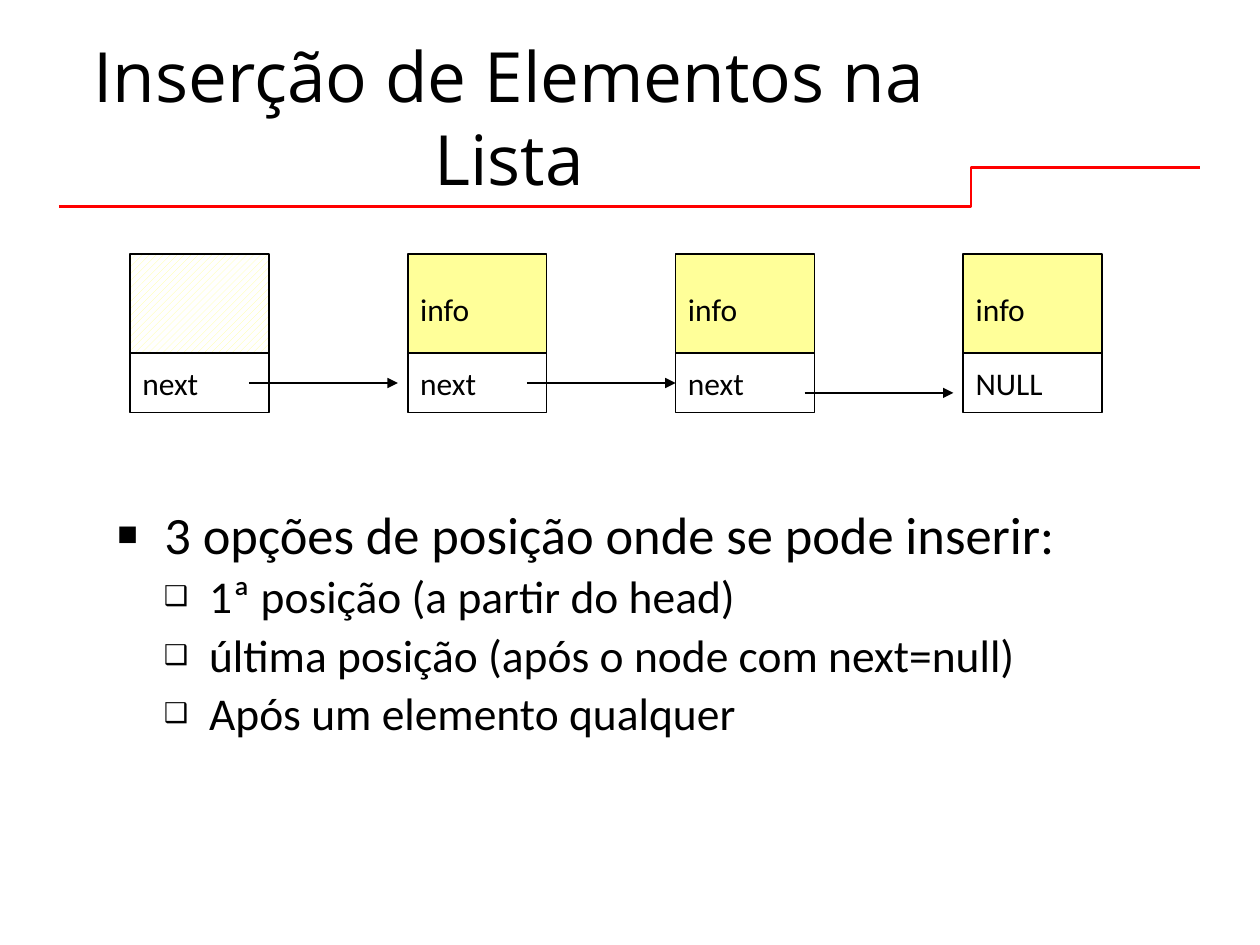
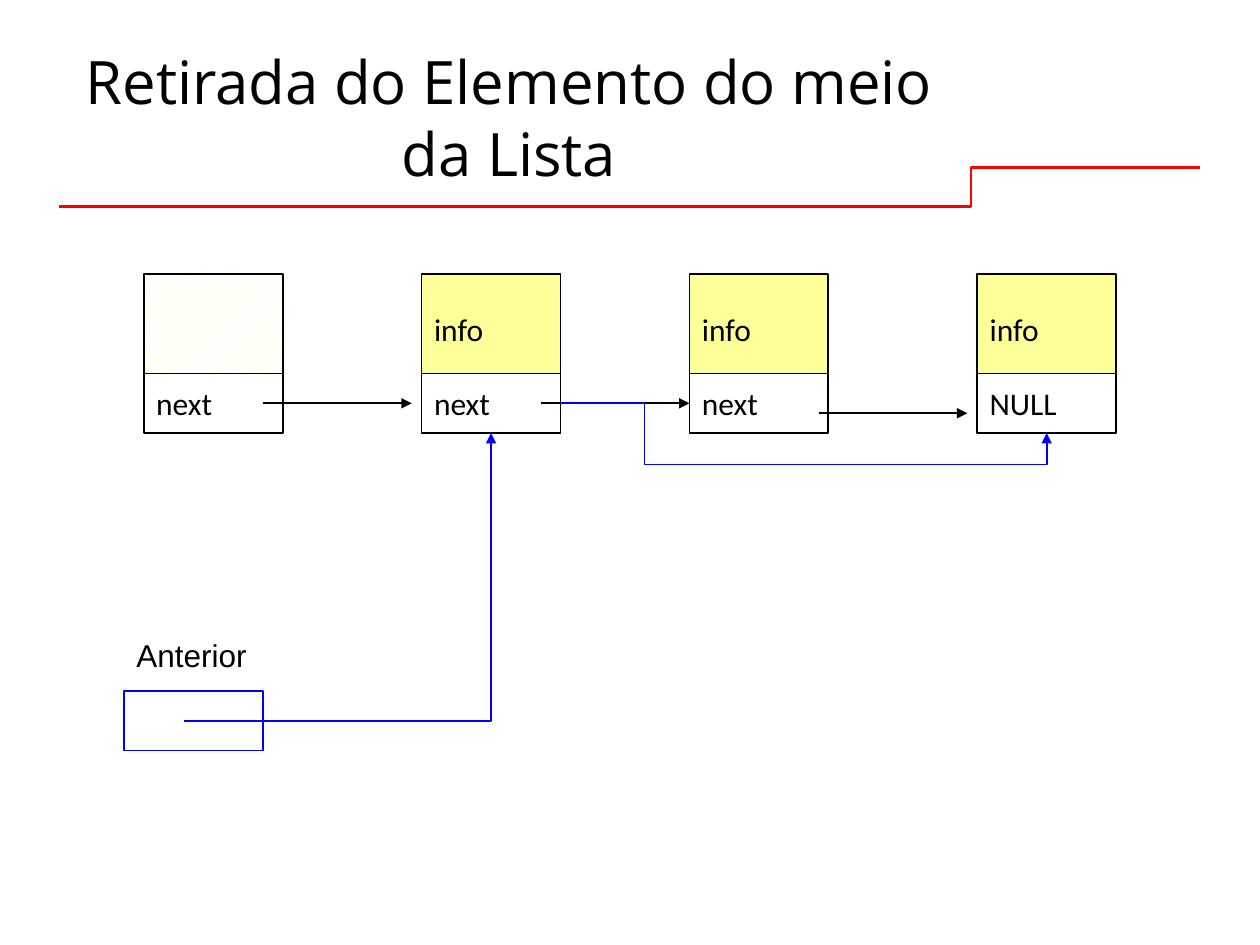
"""Build two slides on inserting into and removing from a linked list."""
from lxml import etree
from pptx import Presentation
from pptx.dml.color import RGBColor
from pptx.enum.dml import MSO_PATTERN
from pptx.enum.shapes import MSO_CONNECTOR, MSO_SHAPE
from pptx.enum.text import MSO_ANCHOR, MSO_AUTO_SIZE, PP_ALIGN
from pptx.oxml.ns import qn
from pptx.util import Cm, Pt

STRAIGHT, ELBOW = MSO_CONNECTOR.STRAIGHT, MSO_CONNECTOR.ELBOW
RECTANGLE = MSO_SHAPE.RECTANGLE
DIAGONAL = MSO_PATTERN.WIDE_UPWARD_DIAGONAL
LEFT, CENTER = PP_ALIGN.LEFT, PP_ALIGN.CENTER
TOP, MIDDLE = MSO_ANCHOR.TOP, MSO_ANCHOR.MIDDLE
NO_AUTOFIT = MSO_AUTO_SIZE.NONE
LEFT_SIDE, BOTTOM_SIDE, RIGHT_SIDE = 1, 2, 3

COLORS = {"text": "000000", "paper": "FFFFFF", "info": "FFFF99",
          "step": "FF0000", "pointer": "0000FF"}
FONTS = {"title": "Open Sans", "body": "Calibri", "label": "Arial"}

INSERTION = {"title": "Inserção de Elementos na Lista", "size": 39.6, "origin": (2.62, 5.12)}
REMOVAL = {"title": "Retirada do Elemento do meio da Lista", "size": 34.2, "origin": (2.9, 5.53)}
OPTIONS = [
    (0, "3 opções de posição onde se pode inserir:"),
    (1, "1ª posição (a partir do head)"),
    (1, "última posição (após o node com next=null)"),
    (1, "Após um elemento qualquer"),
]
LEVELS = [
    {"size": 30, "bullet": "■", "percent": 65, "margin": 0.95, "hanging": 0.95},
    {"size": 26, "bullet": "❑", "percent": 60, "margin": 1.85, "hanging": 0.91},
]
NODES = [(0, "", "next"), (5.6, "info", "next"), (11, "info", "next"), (16.8, "info", "NULL")]
NODE_WIDTH, INFO_HEIGHT, NEXT_TOP, NEXT_HEIGHT = 2.8, 2.2, 2.0, 1.2
ARROW_START, ARROW_STEP, ARROW_LENGTH = 2.4, 5.6, 3.0
ARROW_HEIGHTS = [2.6, 2.6, 2.8]


def rgb(name):
    return RGBColor.from_string(COLORS[name])


def place(shape, left, top, width, height):
    shape.left, shape.top, shape.width, shape.height = map(Cm, (left, top, width, height))


def style_text(para, font, size, align=LEFT):
    para.alignment = align
    for span in para.runs:
        span.font.name, span.font.size = FONTS[font], Pt(size)
        span.font.color.rgb = rgb("text")


def add_box(page, left, top, width, height, text="", fill="paper", line="text"):
    box = page.shapes.add_shape(RECTANGLE, Cm(left), Cm(top), Cm(width), Cm(height))
    box.shadow.inherit = False
    if fill == "hatched":
        box.fill.patterned()
        box.fill.pattern = DIAGONAL
        box.fill.fore_color.rgb, box.fill.back_color.rgb = rgb("info"), rgb("paper")
    else:
        box.fill.solid()
        box.fill.fore_color.rgb = rgb(fill)
    box.line.color.rgb, box.line.width = rgb(line), Pt(1)
    if text:
        frame = box.text_frame
        frame.text, frame.word_wrap, frame.vertical_anchor = text, False, MIDDLE
        style_text(frame.paragraphs[0], "body", 18)
    return box


def add_line(page, start, end, color="text", width=1, kind=STRAIGHT, arrow=True):
    line = page.shapes.add_connector(kind, *map(Cm, start + end))
    line.line.color.rgb, line.line.width = rgb(color), Pt(width)
    properties = line.element.spPr
    if arrow:
        etree.SubElement(properties.find(qn("a:ln")), qn("a:tailEnd"), type="triangle")
    etree.SubElement(properties, qn("a:effectLst"))
    return line


def bend(line, preset, *adjustments):
    geometry = line.element.spPr.find(qn("a:prstGeom"))
    geometry.set("prst", preset)
    guides = geometry.find(qn("a:avLst"))
    for number, value in enumerate(adjustments, 1):
        etree.SubElement(guides, qn("a:gd"), name=f"adj{number}", fmla=f"val {value}")


def add_master_step(deck, page):
    step = add_line(page, (1.19, 4.17), (24.2, 3.38), "step", 1.5, ELBOW, arrow=False)
    bend(step, "bentConnector3", 79900)
    step.element.nvCxnSpPr.cNvPr.set("id", "20")
    deck.slide_master.shapes.element.append(step.element)


def add_page(deck, layout, content):
    page = deck.slides.add_slide(deck.slide_layouts[layout])
    title = page.shapes.title
    place(title, 1.27, 0.76, 17.98, 3.18)
    frame = title.text_frame
    frame.text, frame.word_wrap = content["title"], True
    frame.auto_size, frame.vertical_anchor = NO_AUTOFIT, MIDDLE
    style_text(frame.paragraphs[0], "title", content["size"], CENTER)
    return page


def add_list_diagram(page, origin):
    left, top = origin
    links = []
    for offset, info, link in NODES:
        add_box(page, left + offset, top, NODE_WIDTH, INFO_HEIGHT, info, "info" if info else "hatched")
        links.append(add_box(page, left + offset, top + NEXT_TOP, NODE_WIDTH, NEXT_HEIGHT, link))
    for number, height in enumerate(ARROW_HEIGHTS):
        start = left + ARROW_START + number * ARROW_STEP
        arrow = add_line(page, (start, top + height), (start + ARROW_LENGTH, top + height))
        if number == 1:
            arrow.end_connect(links[2], LEFT_SIDE)
    return links


def fill_options(body):
    place(body, 2.11, 10.13, 21.39, 6.07)
    frame = body.text_frame
    frame.text = "\n".join(text for _, text in OPTIONS)
    frame.auto_size, frame.vertical_anchor = NO_AUTOFIT, TOP
    for para, (level, _) in zip(frame.paragraphs, OPTIONS):
        style = LEVELS[level]
        para.level, para.line_spacing = level, 0.9
        para.space_before = Pt(style["size"] * 0.2)
        style_text(para, "body", style["size"])
        properties = para._p.get_or_add_pPr()
        properties.set("marL", str(Cm(style["margin"])))
        properties.set("indent", str(-Cm(style["hanging"])))
        etree.SubElement(properties, qn("a:buSzPct"), val=str(style["percent"] * 1000))
        etree.SubElement(properties, qn("a:buChar"), char=style["bullet"])


def add_previous_pointer(page, links):
    label = page.shapes.add_textbox(Cm(2.5), Cm(12.7), Cm(3.2), Cm(1.02))
    label.text_frame.text, label.text_frame.word_wrap = "Anterior", True
    style_text(label.text_frame.paragraphs[0], "label", 18)
    pointer = add_box(page, 2.5, 13.93, NODE_WIDTH, NEXT_HEIGHT, line="pointer")
    stem = add_line(page, (5.3, 14.53), (3.7, 14.53), "pointer", arrow=False)
    stem.begin_connect(pointer, RIGHT_SIDE)
    to_node = add_line(page, (5.3, 14.53), (9.9, 8.73), "pointer", kind=ELBOW)
    bend(to_node, "bentConnector2")
    bypass = add_line(page, (11.3, 8.13), (21.1, 8.73), "pointer", kind=ELBOW)
    bend(bypass, "bentConnector4", 17300, 205900)
    for line, source, target in [(to_node, pointer, links[1]), (bypass, links[1], links[3])]:
        line.begin_connect(source, RIGHT_SIDE)
        line.end_connect(target, BOTTOM_SIDE)


def main():
    deck = Presentation()
    deck.slide_width, deck.slide_height = Cm(25.4), Cm(19.05)
    page = add_page(deck, 1, INSERTION)
    add_master_step(deck, page)
    add_list_diagram(page, INSERTION["origin"])
    fill_options(page.placeholders[1])
    page = add_page(deck, 5, REMOVAL)
    add_previous_pointer(page, add_list_diagram(page, REMOVAL["origin"]))
    deck.save("out.pptx")


if __name__ == "__main__":
    main()
